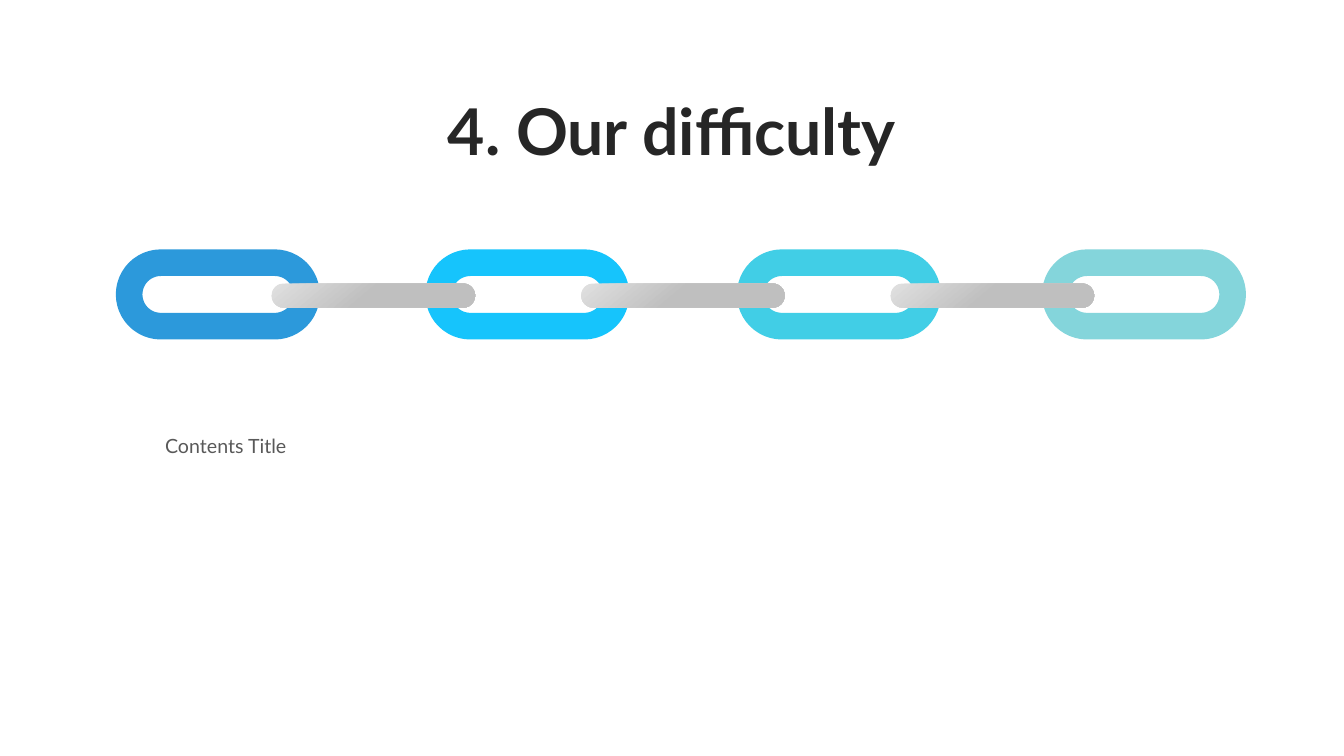
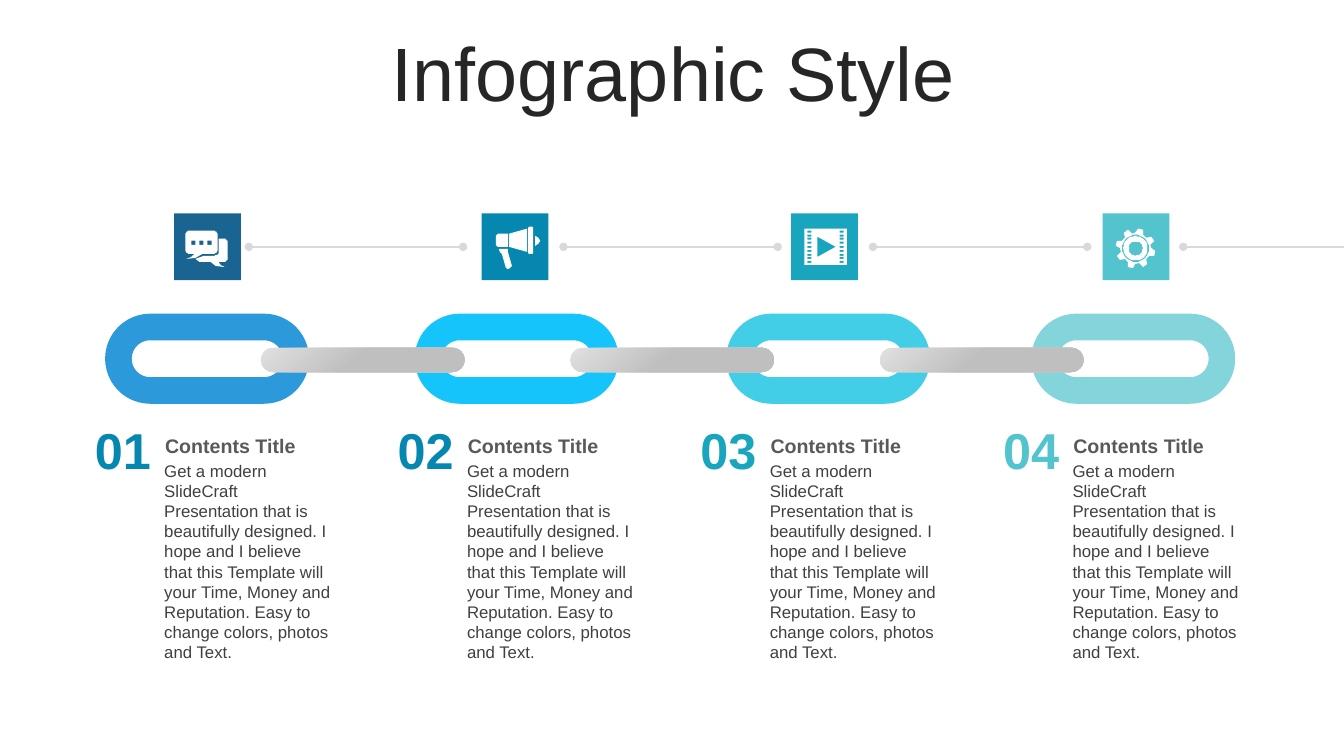
from dataclasses import dataclass
from math import cos, radians, sin

from lxml import etree
from pptx import Presentation
from pptx import util as u
from pptx.dml.color import RGBColor
from pptx.enum import shapes, text
from pptx.oxml.ns import qn

Point = tuple[float, float]
Outline = list[Point]

WIDTH, HEIGHT = 33.87, 19.05
NAVY = RGBColor(0x19, 0x64, 0x91)
OCEAN = RGBColor(0x05, 0x87, 0xAF)
TEAL = RGBColor(0x19, 0xA5, 0xBE)
AQUA = RGBColor(0x53, 0xC3, 0xCD)
LINK_BLUE = RGBColor(0x2C, 0x99, 0xDB)
LINK_SKY = RGBColor(0x16, 0xC4, 0xFC)
LINK_TEAL = RGBColor(0x41, 0xCE, 0xE6)
LINK_AQUA = RGBColor(0x84, 0xD5, 0xDB)
WHITE = RGBColor(0xFF, 0xFF, 0xFF)
TITLE_INK = RGBColor(0x26, 0x26, 0x26)
HEADING_INK = RGBColor(0x59, 0x59, 0x59)
BODY_INK = RGBColor(0x40, 0x40, 0x40)
RAIL = RGBColor(0xD9, 0xD9, 0xD9)
BAR_LIGHT = RGBColor(0xE0, 0xE0, 0xE0)
BAR_DARK = RGBColor(0xBF, 0xBF, 0xBF)

LINK_WIDTH, LINK_HEIGHT = 4.47, 1.6
BAR_LENGTH, BAR_THICKNESS = 5.13, 0.61
FIRST_BAR_X, BAR_STEP = 9.14, 7.8
TILE, TILE_UNITS = 1.68, 66
RAIL_Y, RAIL_LENGTH = 6.22, 5.4
COLUMN_X, COLUMN_STEP = 2.08, 7.63
HEADING = "Contents Title"
HEADING_TOP = 10.8
BODY = (
    "Get a modern SlideCraft Presentation that is beautifully designed. "
    "I hope and I believe that this Template will your Time, Money and "
    "Reputation. Easy to change colors, photos and Text."
)


def arc(cx: float, cy: float, radius: float, start: float, sweep: float,
        steps: int = 8) -> Outline:
    angles = [radians(start + sweep * i / steps) for i in range(steps + 1)]
    return [(cx + radius * cos(a), cy + radius * sin(a)) for a in angles]


def circle(cx: float, cy: float, radius: float) -> Outline:
    return arc(cx, cy, radius, 0, 360, 36)


def box(left: float, top: float, right: float, bottom: float) -> Outline:
    return [(left, top), (right, top), (right, bottom), (left, bottom)]


def bubbles_icon() -> list[Outline]:
    front = (
        arc(15.5, 21.5, 4.5, 180, 90) + arc(38.5, 21.5, 4.5, 270, 90)
        + arc(38.5, 35.5, 4.5, 0, 90)
        + [(28, 40), (21, 44), (12, 45), (17, 43), (20, 40)]
        + arc(15.5, 35.5, 4.5, 90, 90)
    )
    back = (
        [(44.5, 25)] + arc(49, 29, 4, 270, 90) + arc(49, 44, 4, 0, 90)
        + [(44, 48), (46, 51), (50, 53), (41, 52), (36, 48), (25, 48),
           (21, 45), (29, 41.5)]
        + arc(40.5, 37.5, 4, 90, -90)
    )
    return [front, back] + [circle(x, 29, 2.4) for x in (19, 27, 35)]


def megaphone_icon() -> list[Outline]:
    handle = [(17, 35), (26, 35), (26, 38), (29.5, 52), (28, 54.5),
              (26, 55), (24, 54), (20, 40), (18, 38)]
    bell = [(53, 22), (56, 23.5), (58, 27), (56, 30.5), (53, 32)]
    grip = [(16, 20), (26, 20), (26, 33), (16, 33), (14, 31), (14, 22)]
    horn = [(45, 15), (45, 38), (27, 33), (27, 20)]
    rim = [(47, 13), (50, 13), (51, 14), (51, 39), (50, 40), (47, 40),
           (46, 39), (46, 14)]
    return [handle, bell, grip, horn, rim]


def film_icon() -> list[Outline]:
    rows = [17 + 3.75 * i for i in range(9)]
    holes = [box(x, y, x + 4, y + 2) for x in (16, 48) for y in rows]
    return [box(13, 15, 55, 51), [(26, 23), (26, 43), (44, 33)]] + holes


def gear_icon() -> list[Outline]:
    cx, cy = 32.5, 34.5
    corners = [(15.3, -15), (19.5, -7.5), (19.5, 7.5), (15.3, 15)]
    teeth = [
        (cx + r * cos(radians(tooth + turn)), cy + r * sin(radians(tooth + turn)))
        for tooth in range(-75, 285, 45) for r, turn in corners
    ]
    return [teeth] + [circle(cx, cy, r) for r in (13.7, 12, 7)]


@dataclass(frozen=True)
class Topic:
    number: str
    number_color: RGBColor
    tile_color: RGBColor
    link_color: RGBColor
    tile_x: float
    link_x: float
    rail_x: float
    icon: list[Outline]


TOPICS = [
    Topic("01", OCEAN, NAVY, LINK_BLUE, 5.23, 5.22, 6.27, bubbles_icon()),
    Topic("02", OCEAN, OCEAN, LINK_SKY, 12.98, 13.02, 14.2, megaphone_icon()),
    Topic("03", TEAL, TEAL, LINK_TEAL, 20.78, 20.87, 22.0, film_icon()),
    Topic("04", AQUA, AQUA, LINK_AQUA, 28.63, 28.56, 29.82, gear_icon()),
]


def add_text(slide, content: str, left: float, top: float, width: float,
             height: float, *, size: float, color: RGBColor,
             font: str = "Arial", bold: bool = False, centered: bool = False,
             side_inset: float = 0.25, grow: bool = True,
             line_spacing: float | None = None, space_before: float = 0):
    frame = slide.shapes.add_textbox(
        u.Cm(left), u.Cm(top), u.Cm(width), u.Cm(height)).text_frame
    frame.word_wrap = True
    frame.margin_left = frame.margin_right = u.Cm(side_inset)
    if grow:
        frame.auto_size = text.MSO_AUTO_SIZE.SHAPE_TO_FIT_TEXT
    else:
        frame.vertical_anchor = text.MSO_ANCHOR.MIDDLE
    line = frame.paragraphs[0]
    line.alignment = text.PP_ALIGN.CENTER if centered else text.PP_ALIGN.LEFT
    line.space_before = u.Pt(space_before)
    if line_spacing:
        line.line_spacing = line_spacing
    run = line.add_run()
    run.text = content
    run.font.name = font
    run.font.size = u.Pt(size)
    run.font.bold = bold
    run.font.color.rgb = color


def add_centered(slide, kind: shapes.MSO_SHAPE, cx: float, cy: float,
                 width: float, height: float):
    shape = slide.shapes.add_shape(
        kind, u.Cm(cx - width / 2), u.Cm(cy - height / 2),
        u.Cm(width), u.Cm(height))
    shape.shadow.inherit = False
    return shape


def add_chain(slide, shift: float, cy: float) -> None:
    for topic in TOPICS:
        link = add_centered(slide, shapes.MSO_SHAPE.ROUNDED_RECTANGLE,
                            topic.link_x + shift, cy, LINK_WIDTH, LINK_HEIGHT)
        link.adjustments[0] = 0.5
        link.fill.background()
        link.line.color.rgb = topic.link_color
        link.line.width = u.Pt(19)
    for i in range(len(TOPICS) - 1):
        bar = add_centered(slide, shapes.MSO_SHAPE.ROUNDED_RECTANGLE,
                           FIRST_BAR_X + i * BAR_STEP + shift, cy + 0.03,
                           BAR_THICKNESS, BAR_LENGTH)
        bar.rotation = 90
        bar.adjustments[0] = 0.5
        bar.line.fill.background()
        bar.fill.gradient()
        bar.fill.gradient_angle = 40
        light, dark = bar.fill.gradient_stops
        light.color.rgb, light.position = BAR_LIGHT, 0
        dark.color.rgb, dark.position = BAR_DARK, 0.48


def add_rail(slide, start: float) -> None:
    end = min(start + RAIL_LENGTH, WIDTH)
    rail = slide.shapes.add_connector(
        shapes.MSO_CONNECTOR.STRAIGHT,
        u.Cm(start), u.Cm(RAIL_Y), u.Cm(end), u.Cm(RAIL_Y))
    rail.line.color.rgb = RAIL
    rail.line.width = u.Pt(1.25)
    outline = rail.line._get_or_add_ln()
    etree.SubElement(outline, qn("a:headEnd"), type="oval")
    if end < WIDTH:
        etree.SubElement(outline, qn("a:tailEnd"), type="oval")
    etree.SubElement(outline.getparent(), qn("a:effectLst"))


def add_icon_tile(slide, topic: Topic) -> None:
    tile = add_centered(slide, shapes.MSO_SHAPE.RECTANGLE,
                        topic.tile_x, RAIL_Y, TILE, TILE)
    tile.fill.solid()
    tile.fill.fore_color.rgb = topic.tile_color
    tile.line.fill.background()
    first, *others = topic.icon
    builder = slide.shapes.build_freeform(
        *first[0], scale=u.Cm(TILE) / TILE_UNITS)
    builder.add_line_segments(first[1:], close=True)
    for outline in others:
        builder.move_to(*outline[0])
        builder.add_line_segments(outline[1:], close=True)
    icon = builder.convert_to_shape(tile.left, tile.top)
    icon.shadow.inherit = False
    icon.fill.solid()
    icon.fill.fore_color.rgb = WHITE
    icon.line.fill.background()


def add_column(slide, topic: Topic, left: float) -> None:
    add_text(slide, topic.number, left, 10.44, 2.03, 1.8, size=36,
             color=topic.number_color, bold=True, centered=True)
    add_text(slide, BODY, left + 1.81, 11.48, 4.7, 5.38, size=12,
             color=BODY_INK)
    add_text(slide, HEADING, left + 1.78, HEADING_TOP, 4.6, 0.86, size=14,
             color=HEADING_INK, bold=True, side_inset=0.3)


def build_difficulty(slide) -> None:
    add_chain(slide, 0.27, 7.42)
    add_text(slide, HEADING, 3.86, HEADING_TOP, 26.62, 0.86, size=14,
             color=HEADING_INK, font="Lato", side_inset=0.3)
    add_text(slide, "4. Our difficulty", 7.72, 2.16, 18.42, 2.24, size=46,
             color=TITLE_INK, font="Lato", bold=True, centered=True)


def build_infographic(slide) -> None:
    add_text(slide, "Infographic Style", 0.89, 0.94, 32.16, 2.01, size=54,
             color=TITLE_INK, centered=True, grow=False, line_spacing=0.9,
             space_before=10)
    add_chain(slide, 0, 9.04)
    for i, topic in enumerate(TOPICS):
        add_rail(slide, topic.rail_x)
        add_icon_tile(slide, topic)
        add_column(slide, topic, COLUMN_X + i * COLUMN_STEP)


def main() -> None:
    deck = Presentation()
    deck.slide_width, deck.slide_height = u.Cm(WIDTH), u.Cm(HEIGHT)
    for build in (build_difficulty, build_infographic):
        build(deck.slides.add_slide(deck.slide_layouts[6]))
    deck.save("out.pptx")


if __name__ == "__main__":
    main()
